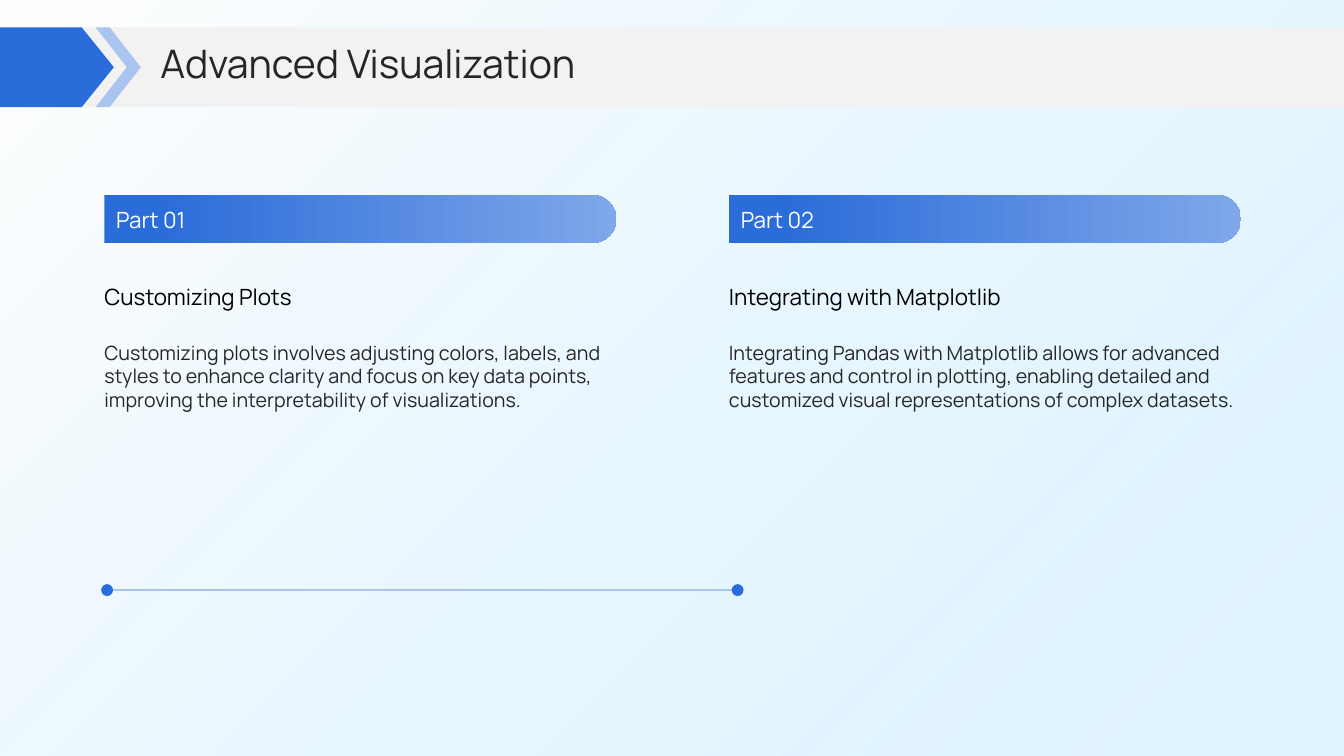
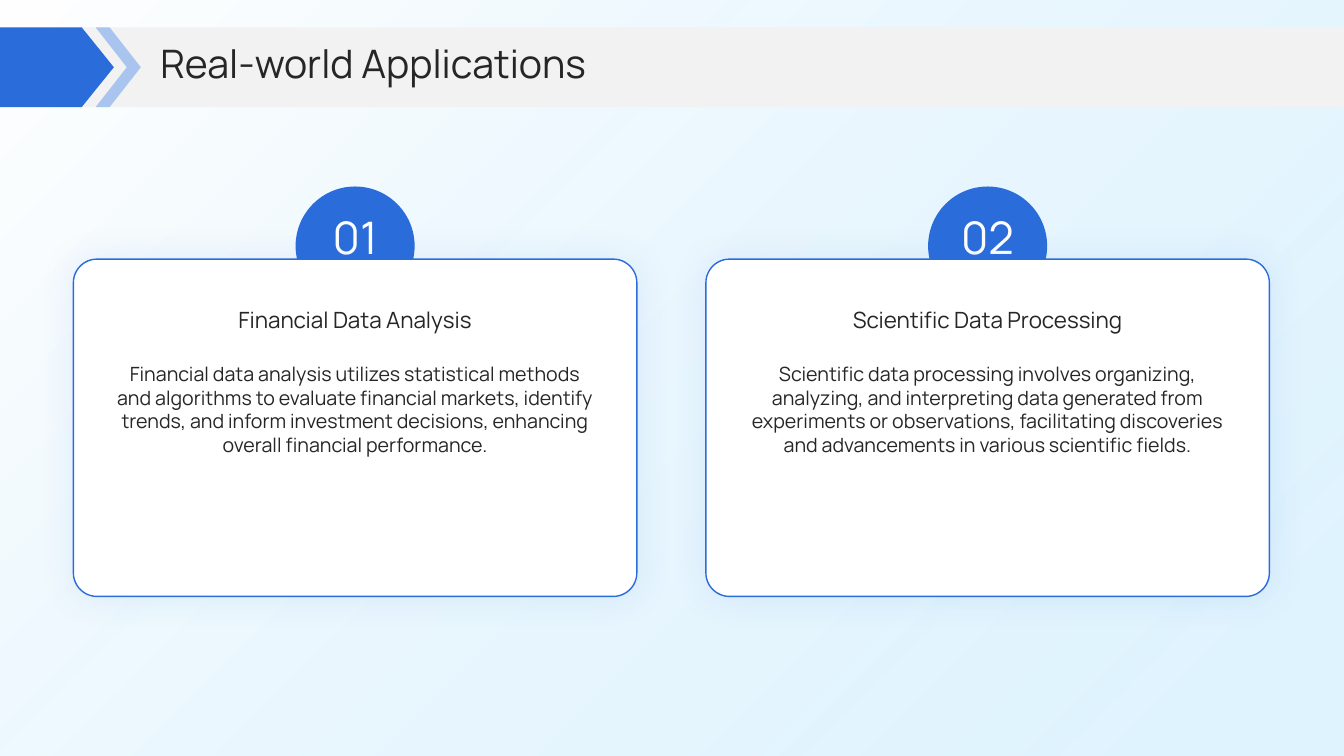
from lxml.etree import SubElement
from pptx import Presentation
from pptx.dml.color import RGBColor
from pptx.enum.shapes import MSO_CONNECTOR as Connector, MSO_SHAPE as Preset
from pptx.enum.text import MSO_ANCHOR as Anchor, PP_ALIGN as Align
from pptx.oxml.ns import qn
from pptx.util import Cm, Pt

COLORS = {
    "blue": "2A6CDA",
    "mid_blue": "7FA7E9",
    "light_blue": "AAC4F0",
    "sky": "CBEDFF",
    "band": "F2F2F2",
    "text": "262626",
    "black": "000000",
    "white": "FFFFFF",
}
RGB = {name: RGBColor.from_string(value) for name, value in COLORS.items()}
FONT = "Manrope"
SLIDE_WIDTH, SLIDE_HEIGHT = 33.87, 19.05
BAND_TOP, BAND_HEIGHT = 0.69, 2.01


def add_shape(slide, preset, left, top, width, height, fill, angle=0, start=0):
    """Add a borderless shape; a pair of colours in fill makes a gradient."""
    shape = slide.shapes.add_shape(preset, Cm(left), Cm(top), Cm(width), Cm(height))
    shape.shadow.inherit = False
    shape.line.fill.background()
    if isinstance(fill, tuple):
        shape.fill.gradient()
        shape.fill.gradient_angle = angle
        for stop, color, position in zip(shape.fill.gradient_stops, fill, (start, 1)):
            stop.color.rgb = RGB[color]
            stop.position = position
    else:
        shape.fill.solid()
        shape.fill.fore_color.rgb = RGB[fill]
    return shape


def add_text(slide, text, left, top, width, height, size=14, color="text",
             align=Align.LEFT, anchor=Anchor.TOP):
    box = slide.shapes.add_textbox(Cm(left), Cm(top), Cm(width), Cm(height))
    frame = box.text_frame
    frame.word_wrap = True
    frame.vertical_anchor = anchor
    frame.margin_left = frame.margin_right = frame.margin_top = frame.margin_bottom = 0
    paragraph = frame.paragraphs[0]
    paragraph.text = text
    paragraph.alignment = align
    paragraph.font.name = FONT
    paragraph.font.size = Pt(size)
    paragraph.font.color.rgb = RGB[color]


presentation = Presentation()
presentation.slide_width = Cm(SLIDE_WIDTH)
presentation.slide_height = Cm(SLIDE_HEIGHT)

# Shared background, title band and title
slides = []
for title in ("Advanced Visualization", "Real-world Applications"):
    slide = presentation.slides.add_slide(presentation.slide_layouts[6])
    slides.append(slide)
    background = add_shape(slide, Preset.RECTANGLE, 0, 0, SLIDE_WIDTH, SLIDE_HEIGHT,
                           ("white", "sky"), angle=315)
    sky = list(background.element.spPr.iter(qn("a:srgbClr")))[-1]
    SubElement(sky, qn("a:alpha")).set("val", "61000")

    add_shape(slide, Preset.RECTANGLE, 0.74, BAND_TOP, SLIDE_WIDTH - 0.74, BAND_HEIGHT, "band")
    bottom = BAND_TOP + BAND_HEIGHT
    builder = slide.shapes.build_freeform(Cm(0), Cm(BAND_TOP))
    corners = [(2.06, BAND_TOP), (2.87, BAND_TOP + BAND_HEIGHT / 2), (2.06, bottom), (0, bottom)]
    builder.add_line_segments([(Cm(x), Cm(y)) for x, y in corners], close=True)
    pointer = builder.convert_to_shape()
    pointer.shadow.inherit = False
    pointer.fill.solid()
    pointer.fill.fore_color.rgb = RGB["blue"]
    pointer.line.fill.background()
    chevron = add_shape(slide, Preset.CHEVRON, 2.41, BAND_TOP, 1.14, BAND_HEIGHT, "light_blue")
    chevron.adjustments[0] = 0.69
    add_text(slide, title, 4.04, 0.99, 28.8, 1.19, size=28, anchor=Anchor.MIDDLE)

visualization, applications = slides

# Slide 1: two parts, each with a label bar, a heading and a description
PARTS = [
    ("Part 01", "Customizing Plots",
     "Customizing plots involves adjusting colors, labels, and styles to enhance clarity "
     "and focus on key data points, improving the interpretability of visualizations."),
    ("Part 02", "Integrating with Matplotlib",
     "Integrating Pandas with Matplotlib allows for advanced features and control in "
     "plotting, enabling detailed and customized visual representations of complex datasets."),
]
PART_WIDTH, BAR_HEIGHT, BAR_MIDDLE = 12.9, 1.2, 5.52
for index, (label, heading, description) in enumerate(PARTS):
    left = 2.63 + index * 15.74
    # The bar is drawn upright and turned, so its round end points right
    bar = add_shape(visualization, Preset.ROUND_2_SAME_RECTANGLE,
                    left + (PART_WIDTH - BAR_HEIGHT) / 2, BAR_MIDDLE - PART_WIDTH / 2,
                    BAR_HEIGHT, PART_WIDTH, ("blue", "mid_blue"), angle=90, start=0.1)
    bar.rotation = 90
    bar.adjustments[0] = 0.5
    add_text(visualization, label, left + 0.3, 5.13, 5.4, 0.8, size=16, color="white",
             anchor=Anchor.MIDDLE)
    add_text(visualization, heading, left, 6.38, PART_WIDTH, 2.2, size=16, color="black",
             anchor=Anchor.MIDDLE)
    add_text(visualization, description, left, 8.58, PART_WIDTH, 4.92)

# Slide 1: line with a dot at each end
LINE_ENDS, LINE_TOP, DOT = (2.7, 18.59), 14.87, 0.3
line = visualization.shapes.add_connector(
    Connector.STRAIGHT, Cm(LINE_ENDS[0]), Cm(LINE_TOP), Cm(LINE_ENDS[1]), Cm(LINE_TOP))
line.line.color.rgb = RGB["light_blue"]
line.line.width = Pt(1.5)
SubElement(line.element.spPr, qn("a:effectLst"))
for end in LINE_ENDS:
    add_shape(visualization, Preset.OVAL, end - DOT / 2, LINE_TOP - DOT / 2, DOT, DOT, "blue")

# Slide 2: two cards, each with a numbered circle behind its top edge
CARDS = [
    ("01", "Financial Data Analysis",
     "Financial data analysis utilizes statistical methods and algorithms to evaluate "
     "financial markets, identify trends, and inform investment decisions, enhancing "
     "overall financial performance."),
    ("02", "Scientific Data Processing",
     "Scientific data processing involves organizing, analyzing, and interpreting data "
     "generated from experiments or observations, facilitating discoveries and "
     "advancements in various scientific fields."),
]
CARD_WIDTH, CIRCLE, NUMBER_WIDTH, TEXT_WIDTH = 14.2, 3, 2.3, 12.2
for index, (number, heading, description) in enumerate(CARDS):
    left = 1.85 + index * 15.94
    center = left + CARD_WIDTH / 2
    add_shape(applications, Preset.OVAL, center - CIRCLE / 2, 4.7, CIRCLE, CIRCLE, "blue")
    add_text(applications, number, center - NUMBER_WIDTH / 2, 5.28, NUMBER_WIDTH, 1,
             size=32, color="white", align=Align.CENTER)

    card = add_shape(applications, Preset.ROUNDED_RECTANGLE, left, 6.53, CARD_WIDTH, 8.5, "white")
    card.adjustments[0] = 0.07
    card.line.color.rgb = RGB["blue"]
    card.line.width = Pt(1)
    # Soft blue glow around the card
    effects = card.element.spPr.find(qn("a:effectLst"))
    shadow = SubElement(effects, qn("a:outerShdw"), blurRad=str(Pt(25)), dist="0",
                        dir="5400000", algn="ctr", rotWithShape="0")
    shadow_color = SubElement(shadow, qn("a:srgbClr"), val=COLORS["blue"])
    SubElement(shadow_color, qn("a:alpha"), val="10000")

    text_left = center - TEXT_WIDTH / 2
    add_text(applications, heading, text_left, 7.45, TEXT_WIDTH, 1.2, size=16,
             align=Align.CENTER, anchor=Anchor.MIDDLE)
    add_text(applications, description, text_left, 9.12, TEXT_WIDTH, 5.4, align=Align.CENTER)

presentation.save("out.pptx")
